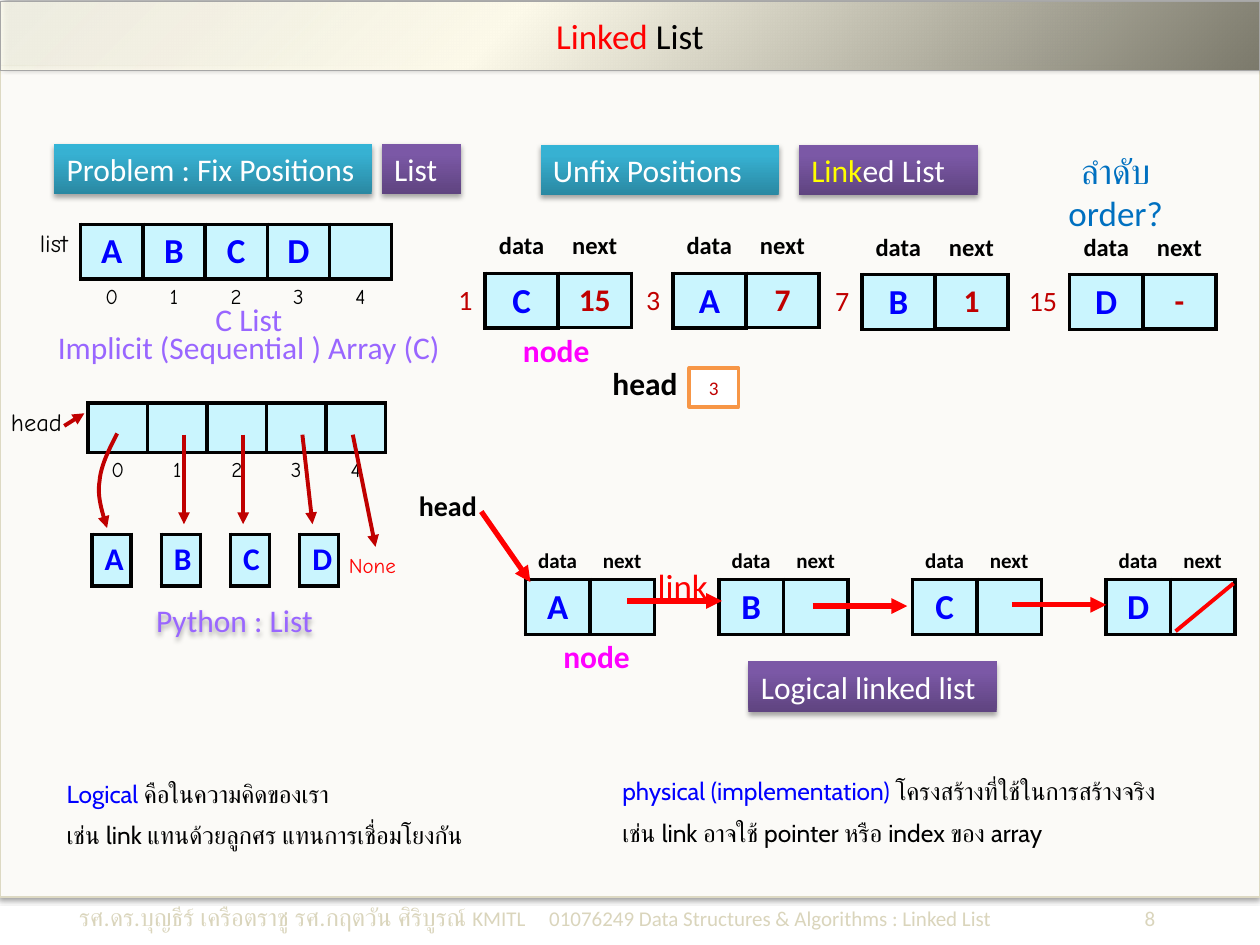
from dataclasses import dataclass
from typing import NamedTuple, Optional

from lxml import etree
from pptx import Presentation
from pptx.dml.color import RGBColor
from pptx.enum.shapes import MSO_CONNECTOR, MSO_SHAPE
from pptx.enum.text import MSO_ANCHOR, MSO_AUTO_SIZE, PP_ALIGN
from pptx.oxml.ns import qn
from pptx.util import Inches, Pt

LEFT, CENTER, RIGHT = PP_ALIGN.LEFT, PP_ALIGN.CENTER, PP_ALIGN.RIGHT
TOP, MIDDLE = MSO_ANCHOR.TOP, MSO_ANCHOR.MIDDLE
RECTANGLE, STRAIGHT = MSO_SHAPE.RECTANGLE, MSO_CONNECTOR.STRAIGHT
BLACK, WHITE = RGBColor(0, 0, 0), RGBColor(255, 255, 255)
RED, DARK_RED = RGBColor(255, 0, 0), RGBColor(0xC0, 0, 0)
BLUE, SKY = RGBColor(0, 0, 255), RGBColor(0, 0x70, 0xC0)
VIOLET, MAGENTA = RGBColor(0x99, 0x66, 0xFF), RGBColor(255, 0, 255)
YELLOW, ORANGE = RGBColor(255, 255, 0), RGBColor(0xF7, 0x96, 0x46)
PALE_CYAN, PAPER = RGBColor(0xCA, 0xF5, 0xFE), RGBColor(0xFB, 0xFA, 0xF7)
SAND, FOOTER = RGBColor(0xDD, 0xD9, 0xC3), RGBColor(0xDA, 0xD5, 0xBC)
GRAY = RGBColor(0xA6, 0xA6, 0xA6)
# Gradient stops: position %, colour, opacity %
TEAL_RAMP = [(0, "2A88A2", 100), (80, "37B1D2", 100), (100, "34B4D6", 100)]
PURPLE_RAMP = [(0, "5F4480", 100), (80, "7B58A6", 100), (100, "7C57A8", 100)]
TITLE_RAMP = [(0, "FEFCEE", 79), (40, "FDFAEA", 100), (100, "7B796B", 100)]
NO_GRID_STYLE = "{2D5ABB26-0587-4C30-8999-92F81FD0307C}"
SIDES = {"lnL": (0, -1), "lnR": (0, 1), "lnT": (-1, 0), "lnB": (1, 0)}
COLUMNS, ROWS = 10, 7.5  # the slide is a grid of one-inch units


class Span(NamedTuple):
    """A piece of text in one format."""
    text: str
    size: float = 18
    color: RGBColor = WHITE
    font: str = "Calibri"
    bold: bool = False


class Area(NamedTuple):
    """A place on the slide in grid units."""
    left: float
    top: float
    width: float
    height: float


class Arrow(NamedTuple):
    """A straight line between two points."""
    start: tuple[float, float]
    end: tuple[float, float]
    color: RGBColor = DARK_RED
    width: float = 2.25
    head: bool = True


@dataclass
class Cell:
    """A table cell; boxed cells are filled and framed."""
    span: Optional[Span] = None
    boxed: bool = False
    align: PP_ALIGN = CENTER
    anchor: MSO_ANCHOR = MIDDLE


def add_part(parent, tag: str, **attributes):
    """Append a drawing element to its parent."""
    return etree.SubElement(parent, qn("a:" + tag), {k: str(v) for k, v in attributes.items()})


def add_shadow(shape, opacity=35, blur=3.1, distance=1.8, angle=90) -> None:
    """Give a shape an outer shadow."""
    shape.shadow.inherit = False
    effects = shape._element.spPr.find(qn("a:effectLst"))
    outer = add_part(effects, "outerShdw", blurRad=int(Pt(blur)), dist=int(Pt(distance)),
                     dir=angle * 60000, algn="ctr", rotWithShape=0)
    add_part(add_part(outer, "srgbClr", val="000000"), "alpha", val=opacity * 1000)


def fill_ramp(shape, ramp: list, angle: int) -> None:
    """Fill a shape with a linear gradient."""
    shape.fill.gradient()
    gradient = shape._element.spPr.find(qn("a:gradFill"))
    for child in list(gradient):
        gradient.remove(child)
    stops = add_part(gradient, "gsLst")
    for position, color, opacity in ramp:
        stop = add_part(add_part(stops, "gs", pos=position * 1000), "srgbClr", val=color)
        if opacity < 100:
            add_part(stop, "alpha", val=opacity * 1000)
    add_part(gradient, "lin", ang=angle * 60000, scaled=0)


def write_spans(para, spans: list[Span]) -> None:
    """Write formatted spans into a paragraph, breaking at line ends."""
    for span in spans:
        for index, piece in enumerate(span.text.split("\n")):
            if index:
                para.add_line_break()
            run = para.add_run()
            run.text = piece
            run.font.size, run.font.name, run.font.bold = Pt(span.size), span.font, span.bold
            run.font.color.rgb = span.color


def write_text(shape, *lines, align=LEFT, anchor=TOP, wrap=True, grow=True, spacing=None, gap=0) -> None:
    """Write paragraphs, each a list of spans, into a shape."""
    frame = shape.text_frame
    frame.word_wrap, frame.vertical_anchor = wrap, anchor
    frame.auto_size = MSO_AUTO_SIZE.SHAPE_TO_FIT_TEXT if grow else MSO_AUTO_SIZE.NONE
    for index, spans in enumerate(lines):
        para = frame.add_paragraph() if index else frame.paragraphs[0]
        para.alignment, para.space_before = align, Pt(gap if index else 0)
        if spacing:
            para.line_spacing = Pt(spacing)
        write_spans(para, spans)


def add_box(area: Area, fill=None, line=None, width=0.75):
    """Add a rectangle without text or shadow."""
    box = page.shapes.add_shape(RECTANGLE, *map(Inches, area))
    box.shadow.inherit = False
    if fill is not None:
        box.fill.solid()
        box.fill.fore_color.rgb = fill
    if line is None:
        box.line.fill.background()
    else:
        box.line.color.rgb, box.line.width = line, Pt(width)
    return box


def add_text(area: Area, *lines, **layout):
    """Add a plain text box."""
    box = page.shapes.add_textbox(*map(Inches, area))
    write_text(box, *lines, **layout)
    return box


def add_banner(area: Area, ramp: list, *spans: Span) -> None:
    """Add a gradient heading with a shadow."""
    banner = add_box(area)
    fill_ramp(banner, ramp, 270)
    add_shadow(banner)
    write_text(banner, list(spans))


def set_tail(shape) -> None:
    """End a line with a triangle."""
    add_part(shape.line._get_or_add_ln(), "tailEnd", type="triangle")


def add_arrow(arrow: Arrow) -> None:
    """Draw one straight arrow or line."""
    line = page.shapes.add_connector(STRAIGHT, *map(Inches, arrow.start + arrow.end))
    line.line.color.rgb, line.line.width = arrow.color, Pt(arrow.width)
    if arrow.head:
        set_tail(line)
    add_part(line._element.spPr, "effectLst")


def add_curve(*points, steps=12) -> None:
    """Draw chained cubic curves ending in an arrowhead."""
    track = []
    for first in range(0, len(points) - 1, 3):
        a, b, c, d = points[first:first + 4]
        for t in (step / steps for step in range(1, steps + 1)):
            u = 1 - t
            track.append(tuple(Inches(u**3 * a[i] + 3 * u * u * t * b[i] + 3 * u * t * t * c[i] + t**3 * d[i])
                               for i in (0, 1)))
    builder = page.shapes.build_freeform(*map(Inches, points[0]))
    builder.add_line_segments(track, close=False)
    curve = builder.convert_to_shape()
    curve.shadow.inherit = False
    curve.fill.background()
    curve.line.color.rgb, curve.line.width = DARK_RED, Pt(2.25)
    set_tail(curve)


def add_grid(left: float, top: float, widths: list, heights: list, cells: list[list[Cell]]) -> None:
    """Add a table whose boxed cells have a black frame."""
    area = Area(left, top, sum(widths), sum(heights))
    table = page.shapes.add_table(len(heights), len(widths), *map(Inches, area)).table
    table.first_row = table.horz_banding = False
    table._tbl.tblPr.find(qn("a:tableStyleId")).text = NO_GRID_STYLE
    for column, width in zip(table.columns, widths):
        column.width = Inches(width)
    for row, height in zip(table.rows, heights):
        row.height = Inches(height)
    boxed = {(r, c) for r, line in enumerate(cells) for c, cell in enumerate(line) if cell.boxed}
    for r, line in enumerate(cells):
        for c, cell in enumerate(line):
            target = table.cell(r, c)
            target.vertical_anchor = cell.anchor
            for side, (down, across) in SIDES.items():
                if boxed & {(r, c), (r + down, c + across)}:
                    border = add_part(target._tc.get_or_add_tcPr(), side, w=int(Pt(2.25)))
                    add_part(add_part(border, "solidFill"), "srgbClr", val="000000")
            if cell.boxed:
                target.fill.solid()
                target.fill.fore_color.rgb = PALE_CYAN
            else:
                target.fill.background()
            para = target.text_frame.paragraphs[0]
            if cell.span:
                para.alignment = cell.align
                write_spans(para, [cell.span])
            else:  # a small size keeps blank cells from stretching their row
                add_part(para._p, "endParaRPr", sz=1000)


def letter(text: str, size=20) -> Cell:
    """Make a boxed cell with a blue data letter."""
    return Cell(Span(text, size, BLUE, bold=True) if text else None, boxed=True)


def caption(text: str, size=14) -> Cell:
    """Make a bold field name."""
    return Cell(Span(text, size, BLACK, bold=True))


def add_array(left: float, top: float, name: Cell, widths: list, heights: list, letters: list) -> None:
    """Add a named array with its indices below."""
    indices = [Cell(Span(str(i), 12, BLACK, "Comic Neue"), anchor=TOP) for i in range(len(letters))]
    add_grid(left, top, widths, heights, [[name, *map(letter, letters)], [Cell(), *indices]])


def add_node(left: float, top: float, address: str, data: str, link: str) -> None:
    """Add a node with its address, data and next fields."""
    side, blank = 0.58, Cell()
    place = Cell(Span(address, 16, DARK_RED), align=RIGHT)
    add_grid(left, top, [side] * 3, [0.43] * 3,
             [[blank, caption("data"), blank], [place, letter(data), blank], [blank] * 3])
    add_grid(left + 2 * side, top, [side], [0.43] * 2,
             [[caption("next")], [Cell(Span(link, 18, DARK_RED, bold=True), boxed=True)]])


deck = Presentation()
deck.slide_width, deck.slide_height = Inches(COLUMNS), Inches(ROWS)
page = deck.slides.add_slide(deck.slide_layouts[6])

add_shadow(add_box(Area(0, 0.52, COLUMNS, 6.6), PAPER, SAND), 38, 3.1, 1.6)
footer = add_text(Area(0.53, 7.11, 8.98, 0.37), [
    Span("รศ.ดร.บุญธีร์ เครือตราชู รศ.กฤตวัน ศิริบูรณ์", 14, FOOTER, "Roboto"),
    Span("\tKMITL\t01076249 Data Structures & Algorithms : Linked List\t8", 12, FOOTER)])
tabs = add_part(footer.text_frame.paragraphs[0]._p.get_or_add_pPr(), "tabLst")
for stop, kind in ((3.12, "l"), (3.73, "l"), (8.54, "r")):
    add_part(tabs, "tab", pos=int(Inches(stop)), algn=kind)

title = add_box(Area(0, 0.01, COLUMNS, 0.55), line=GRAY)
fill_ramp(title, TITLE_RAMP, 45)
add_shadow(title, 40, 4, 3, 315)
write_text(title, [Span("Linked", 20, RED), Span(" List", 20, BLACK)], align=CENTER, anchor=MIDDLE, grow=False)

chain_rows = [[], [], []]
for data in "ABCD":
    gap = [Cell()] if chain_rows[0] else []
    chain_rows[0] += gap + [caption("data", 12), caption("next", 12)]
    chain_rows[1] += gap + [letter(data), letter("")]
    chain_rows[2] += gap + [Cell(), Cell()]
add_grid(4.17, 4.3, [5.63 / 11] * 11, [0.3, 0.38, 0.27], chain_rows)

add_text(Area(0.28, 2.41, 3.39, 0.57), [Span("C List", color=VIOLET)],
         [Span("Implicit (Sequential ) Array (C)", color=VIOLET)], align=CENTER, spacing=16)
add_banner(Area(6.34, 1.15, 1.42, 0.4), PURPLE_RAMP, Span("Link", color=YELLOW), Span("ed List"))
add_banner(Area(0.43, 1.14, 2.52, 0.4), TEAL_RAMP, Span("Problem : Fix Positions"))
add_banner(Area(4.29, 1.15, 1.89, 0.4), TEAL_RAMP, Span("Unfix Positions"))
add_banner(Area(5.94, 5.25, 1.97, 0.4), PURPLE_RAMP, Span("Logical linked list"))
add_banner(Area(3.03, 1.14, 0.63, 0.4), PURPLE_RAMP, Span("List"))
add_text(Area(8.07, 1.14, 1.57, 0.44), [Span("ลำดับ\norder?", 20, SKY)], align=CENTER)

for area, lead, rest, example in (
        (Area(0.43, 6.13, 4.02, 0.69), "Logical ", "คือในความคิดของเรา",
         "เช่น link แทนด้วยลูกศร แทนการเชื่อมโยงกัน"),
        (Area(4.84, 6.11, 4.92, 0.69), "physical (implementation) ", "โครงสร้างที่ใช้ในการสร้างจริง",
         "เช่น link อาจใช้ pointer หรือ index ของ array")):
    add_text(area, [Span(lead, 14, BLUE, "Cabin"), Span(rest, 14, BLACK, "Cabin")],
             [Span(example, 14, BLACK, "Cabin")], gap=7)

add_array(0, 1.78, Cell(Span("list", 14, BLACK, "Comic Neue"), align=RIGHT, anchor=TOP),
          [0.64] + [2.47 / 5] * 5, [0.39, 0.24], ["A", "B", "C", "D", ""])
for node in ((3.27, 1.74, "1", "C", "15"), (4.76, 1.74, "3", "A", "7"),
             (6.26, 1.75, "7", "B", "1"), (7.91, 1.75, "15", "D", "-")):
    add_node(*node)

for area, text, size, color in ((Area(3.22, 3.83, 0.67, 0.37), "head", 16, BLACK),
                                (Area(4.76, 2.84, 0.72, 0.4), "head", 18, BLACK),
                                (Area(4.05, 2.58, 0.73, 0.4), "node", 18, MAGENTA),
                                (Area(4.37, 5.01, 0.73, 0.4), "node", 18, MAGENTA)):
    add_text(area, [Span(text, size, color, bold=True)], align=CENTER, wrap=False)
write_text(add_box(Area(5.47, 2.92, 0.39, 0.31), WHITE, ORANGE, 2), [Span("3", 11, DARK_RED)],
           align=CENTER, anchor=MIDDLE, grow=False)
add_text(Area(5.12, 4.43, 0.68, 0.44), [Span("link", 20, RED)])

add_array(-0.12, 3.2, Cell(Span("head", 14, BLACK, "Comic Neue"), anchor=TOP),
          [0.82] + [2.36 / 5] * 5, [0.39, 0.43], [""] * 5)
add_grid(0.73, 4.24, [0.31, 0.24] * 3 + [0.31], [0.41],
         [[letter(text, 18) if text else Cell() for text in ("A", "", "B", "", "C", "", "D")]])
add_shadow(add_text(Area(1.14, 4.72, 1.52, 0.4), [Span("Python : List", color=VIOLET)], wrap=False))
add_text(Area(2.67, 4.34, 0.61, 0.3), [Span("None", 12, RED, "Comic Neue")], wrap=False)

for arrow in (Arrow((9.33, 5.01), (9.79, 4.63), RED, head=False),
              Arrow((3.82, 4.06), (4.21, 4.62), RED, 3),
              *(Arrow((x, y), (x + 0.75, y), RED, 3) for x, y in ((4.98, 4.77), (6.45, 4.81), (8.03, 4.8))),
              Arrow((1.46, 3.45), (1.46, 4.16)), Arrow((1.93, 3.45), (1.93, 4.16)),
              Arrow((2.4, 3.45), (2.48, 4.16)), Arrow((2.8, 3.45), (2.98, 4.34)),
              Arrow((0.51, 3.38), (0.67, 3.28))):
    add_arrow(arrow)
add_curve((0.93, 3.44), (0.87, 3.56), (0.8, 3.69), (0.79, 3.82), (0.77, 3.94), (0.81, 4.06), (0.85, 4.19))

deck.save("out.pptx")
